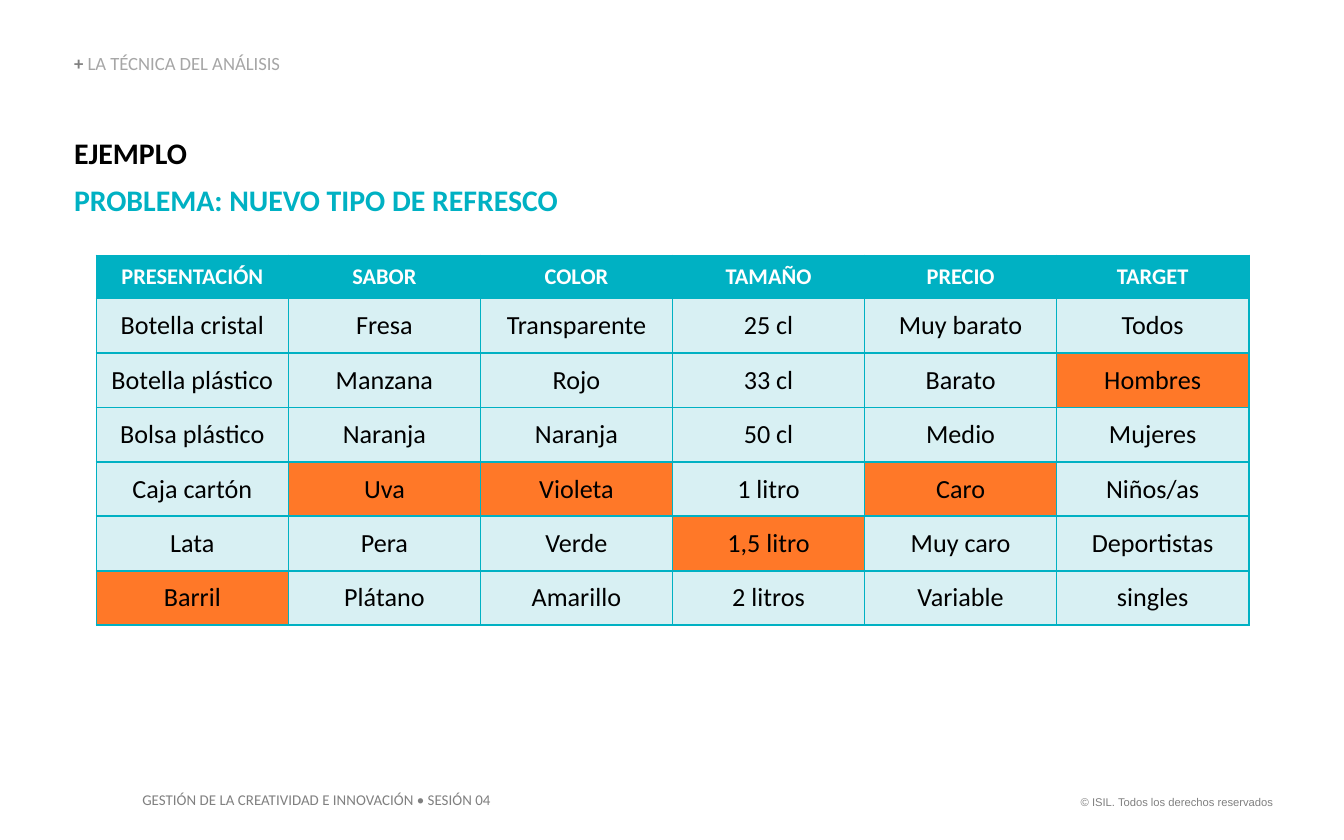
from lxml.etree import SubElement
from pptx import Presentation
from pptx.dml.color import RGBColor
from pptx.enum.text import MSO_ANCHOR, MSO_AUTO_SIZE, PP_ALIGN
from pptx.oxml.ns import qn
from pptx.util import Cm, Pt

TURQUOISE = RGBColor(0x00, 0xB1, 0xC3)
PALE = RGBColor(0xD8, 0xF0, 0xF3)
ORANGE = RGBColor(0xFF, 0x78, 0x28)
WHITE = RGBColor(0xFF, 0xFF, 0xFF)
BLACK = RGBColor(0x00, 0x00, 0x00)
GRAY = RGBColor(0x80, 0x80, 0x80)
LIGHT_GRAY = RGBColor(0xA6, 0xA6, 0xA6)

ROWS = [
    ["PRESENTACIÓN", "SABOR", "COLOR", "TAMAÑO", "PRECIO", "TARGET"],
    ["Botella cristal", "Fresa", "Transparente", "25 cl", "Muy barato", "Todos"],
    ["Botella plástico", "Manzana", "Rojo", "33 cl", "Barato", "Hombres"],
    ["Bolsa plástico", "Naranja", "Naranja", "50 cl", "Medio", "Mujeres"],
    ["Caja cartón", "Uva", "Violeta", "1 litro", "Caro", "Niños/as"],
    ["Lata", "Pera", "Verde", "1,5 litro", "Muy caro", "Deportistas"],
    ["Barril", "Plátano", "Amarillo", "2 litros", "Variable", "singles"],
]
CHOSEN = {"Barril", "Uva", "Violeta", "1,5 litro", "Caro", "Hombres"}
COLUMN_WIDTH = Cm(3.63)
HEADER_HEIGHT = Cm(0.81)
ROW_HEIGHT = Cm(1.03)


def style(font, size, color, bold=False, name="Calibri"):
    font.name = name
    font.size = Pt(size)
    font.bold = bold
    font.color.rgb = color


def place(shape, left, top, width, height):
    shape.left, shape.top = Cm(left), Cm(top)
    shape.width, shape.height = Cm(width), Cm(height)


def prepare_frame(shape, anchor):
    frame = shape.text_frame
    frame.margin_left = frame.margin_right = 0
    frame.margin_top = frame.margin_bottom = 0
    frame.word_wrap = True
    frame.auto_size = MSO_AUTO_SIZE.SHAPE_TO_FIT_TEXT
    frame.vertical_anchor = anchor
    return frame


def fill_title(title):
    place(title, 1.4, 1.04, 6.96, 0.38)
    para = prepare_frame(title, MSO_ANCHOR.BOTTOM).paragraphs[0]
    para.alignment = PP_ALIGN.LEFT
    para.line_spacing = 0.9
    for text, color, bold in [("+ ", GRAY, True), ("LA TÉCNICA DEL ANÁLISIS", LIGHT_GRAY, False)]:
        span = para.add_run()
        span.text = text
        style(span.font, 10, color, bold)


def fill_heading(body):
    place(body, 1.4, 2.54, 10.54, 1.57)
    frame = prepare_frame(body, MSO_ANCHOR.TOP)
    lines = [("EJEMPLO", BLACK), ("PROBLEMA: NUEVO TIPO DE REFRESCO", TURQUOISE)]
    frame.text = "\n".join(text for text, color in lines)
    for para, (text, color) in zip(frame.paragraphs, lines):
        properties = para._p.get_or_add_pPr()
        properties.set("marL", "0")
        properties.set("indent", "0")
        SubElement(properties, qn("a:buNone"))
        para.space_before = Pt(0)
        para.space_after = Pt(6)
        style(para.font, 16, color, True)


def add_footer(page, text, bounds, size, name, alignment):
    box = page.shapes.add_textbox(*map(Cm, bounds))
    frame = box.text_frame
    frame.word_wrap = False
    frame.auto_size = MSO_AUTO_SIZE.SHAPE_TO_FIT_TEXT
    para = frame.paragraphs[0]
    para.text = text
    para.alignment = alignment
    style(para.font, size, GRAY, name=name)


def add_borders(cell):
    properties = cell._tc.get_or_add_tcPr()
    for side in ("lnL", "lnR", "lnT", "lnB"):
        line = SubElement(properties, qn(f"a:{side}"), w=str(Pt(1)))
        fill = SubElement(line, qn("a:solidFill"))
        SubElement(fill, qn("a:srgbClr"), val=str(TURQUOISE))


def fill_cell(cell, text, is_header):
    add_borders(cell)
    cell.fill.solid()
    if is_header:
        cell.fill.fore_color.rgb = TURQUOISE
    else:
        cell.fill.fore_color.rgb = ORANGE if text in CHOSEN else PALE
    cell.vertical_anchor = MSO_ANCHOR.MIDDLE
    para = cell.text_frame.paragraphs[0]
    para.text = text
    para.alignment = PP_ALIGN.CENTER
    if is_header:
        style(para.font, 12, WHITE, True)
    else:
        style(para.font, 14, BLACK)


def add_options_table(page):
    columns = len(ROWS[0])
    height = HEADER_HEIGHT + ROW_HEIGHT * (len(ROWS) - 1)
    table = page.shapes.add_table(
        len(ROWS), columns, Cm(1.82), Cm(4.83), COLUMN_WIDTH * columns, height
    ).table
    for column in table.columns:
        column.width = COLUMN_WIDTH
    for index, texts in enumerate(ROWS):
        is_header = index == 0
        table.rows[index].height = HEADER_HEIGHT if is_header else ROW_HEIGHT
        for cell, text in zip(table.rows[index].cells, texts):
            fill_cell(cell, text, is_header)


def main():
    deck = Presentation()
    deck.slide_width, deck.slide_height = Cm(25.4), Cm(15.88)
    page = deck.slides.add_slide(deck.slide_layouts[1])
    fill_title(page.shapes.title)
    fill_heading(page.placeholders[1])
    add_options_table(page)
    add_footer(page, "GESTIÓN DE LA CREATIVIDAD E INNOVACIÓN • SESIÓN 04",
               (2.44, 14.83, 7.24, 0.61), 8, "Calibri", PP_ALIGN.LEFT)
    add_footer(page, "© ISIL. Todos los derechos reservados",
               (20.02, 14.91, 4.29, 0.51), 6, "Arial", PP_ALIGN.RIGHT)
    deck.save("out.pptx")


if __name__ == "__main__":
    main()
